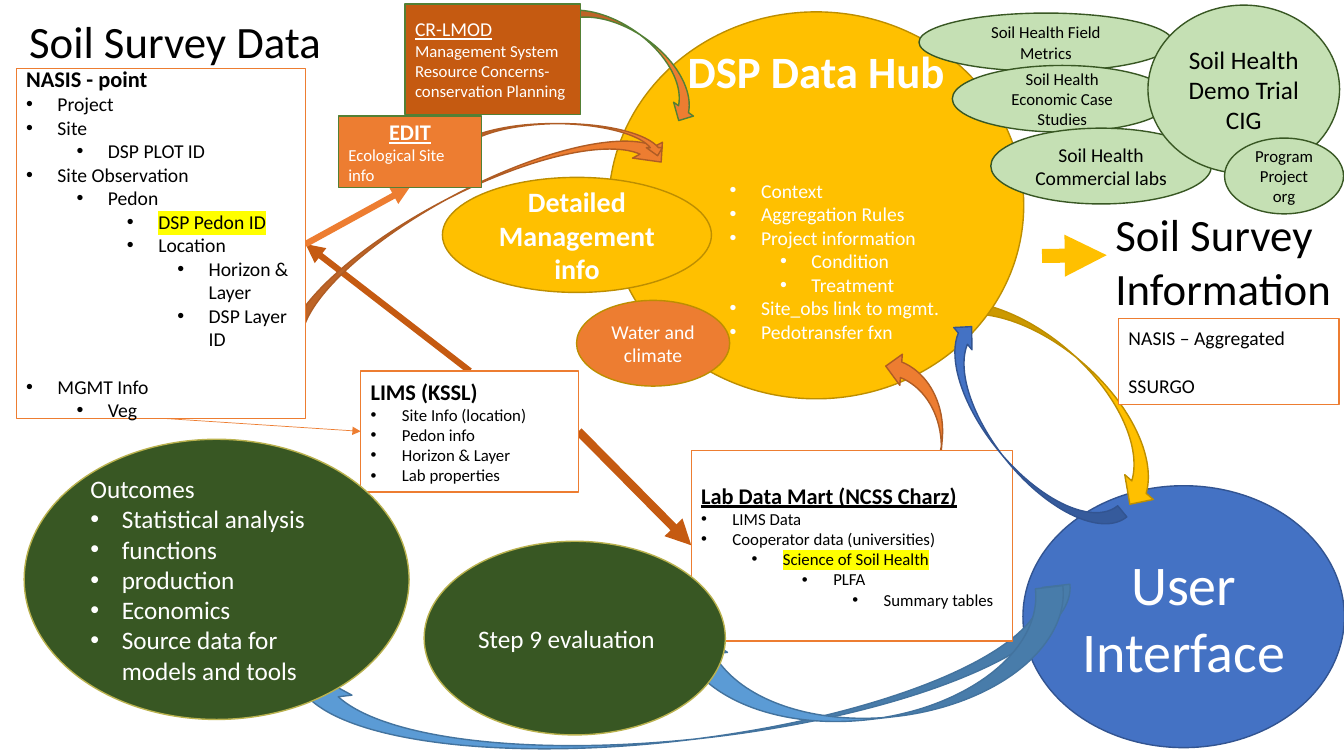
from pptx import Presentation
from pptx.dml.color import RGBColor
from pptx.enum.shapes import MSO_CONNECTOR, MSO_SHAPE
from pptx.enum.text import MSO_ANCHOR, MSO_AUTO_SIZE, PP_ALIGN
from pptx.oxml.ns import qn
from pptx.oxml.xmlchemy import OxmlElement
from pptx.util import Cm, Pt

ELLIPSE, RECT = MSO_SHAPE.OVAL, MSO_SHAPE.RECTANGLE
CURVED = MSO_SHAPE.CURVED_RIGHT_ARROW
STRAIGHT = MSO_CONNECTOR.STRAIGHT
LEFT, CENTER = PP_ALIGN.LEFT, PP_ALIGN.CENTER
TOP, MIDDLE = MSO_ANCHOR.TOP, MSO_ANCHOR.MIDDLE
FIT_SHAPE, NO_FIT = MSO_AUTO_SIZE.SHAPE_TO_FIT_TEXT, MSO_AUTO_SIZE.NONE

FONT = "Calibri"
BLACK, WHITE, YELLOW = "000000", "FFFFFF", "FFFF00"
ORANGE, RUST, GOLD = "ED7D31", "C55A11", "FFC000"
HANG, STEP = 0.79, 1.27  # bullet indents in cm

# Styles: fill, outline, text colour
STYLES = {
    "card": (WHITE, ORANGE, BLACK),
    "tool": (ORANGE, "538035", WHITE),
    "model": (RUST, "538035", WHITE),
    "hub": (GOLD, "BD8E00", WHITE),
    "climate": (ORANGE, "BD8E00", WHITE),
    "user": ("4472C4", "325491", WHITE),
    "partner": ("C5E0B4", "385723", BLACK),
    "result": ("385723", "BAB24E", WHITE),
    "flow": (ORANGE, "AF5C24", WHITE),
    "feedback": ("5B9BD5", "43739E", WHITE),
}


def line(text, size, marks="", align=LEFT, level=None, before=0):
    """One paragraph; marks: b bold, u underline, h highlight."""
    return text, size, marks, align, level, before


def centered(size, *texts, marks=""):
    return [line(text, size, marks, CENTER) for text in texts]


def bullets(size, *items):
    """Items are (level, text[, marks[, space before]])."""
    return [line(text, size, rest[0] if rest else "", LEFT, level,
                 rest[1] if len(rest) > 1 else 0)
            for level, text, *rest in items]


# Text content
HEADING = [line("Soil Survey Data", 32)]
INFORMATION = [line("Soil Survey", 32), line("Information", 32)]
HUB = centered(32, "DSP Data Hub", marks="b") + bullets(
    14, (1, "Context", "", 58), (1, "Aggregation Rules"),
    (1, "Project information"), (2, "Condition"), (2, "Treatment"),
    (1, "Site_obs link to mgmt."), (1, "Pedotransfer fxn"))
MODEL = [line("CR-LMOD", 14, "u"), line("Management System", 12),
         line("Resource Concerns-conservation Planning", 12)]
NASIS = [line("NASIS - point", 16, "b")] + bullets(
    14, (0, "Project"), (0, "Site"), (1, "DSP PLOT ID"),
    (0, "Site Observation"), (1, "Pedon"), (2, "DSP Pedon ID", "h"),
    (2, "Location"), (3, "Horizon & Layer"), (3, "DSP Layer ID"),
    (0, "MGMT Info", "", 17), (1, "Veg"))
LIMS = [line("LIMS (KSSL)", 16, "b")] + bullets(
    12, (0, "Site Info (location)"), (0, "Pedon info"),
    (0, "Horizon & Layer"), (0, "Lab properties"))
EDIT = centered(16, "EDIT", marks="bu") + [line("Ecological Site info", 12)]
LAB_MART = [line("Lab Data Mart (NCSS Charz)", 16, "bu")] + bullets(
    12, (0, "LIMS Data"), (0, "Cooperator data (universities)"),
    (1, "Science of Soil Health", "h"), (2, "PLFA"), (3, "Summary tables"))
AGGREGATED = [line("NASIS – Aggregated", 14), line("SSURGO", 14, before=17)]
OUTCOMES = [line("Outcomes", 18)] + bullets(
    18, (0, "Statistical analysis"), (0, "functions"), (0, "production"),
    (0, "Economics"), (0, "Source data for models and tools"))

# Parts from back to front, in cm:
#   (shape, style, (left, top, width, height), lines)
#   (CURVED, style, (left, top, width, height), rotation, flip)
#   (STRAIGHT, colour, (x1, y1, x2, y2), width in points)
PARTS = [
    (ELLIPSE, "user", (25.78, 12.24, 8.1, 6.6), centered(40, "User Interface")),
    (CURVED, "hub", (25.63, 5.99, 1.91, 7.62), 131, "flipV"),
    (STRAIGHT, RUST, (11.84, 9.35, 7.7, 6.15), 4.5),
    (STRAIGHT, RUST, (14.58, 10.87, 17.42, 13.74), 6),
    (ELLIPSE, "hub", (15.34, 0.3, 10.46, 9.75), HUB),
    (CURVED, "tool", (15.24, -0.84, 1.22, 4.52), 304.9, "flipH"),
    (CURVED, "feedback", (15.8, 7.26, 2.79, 19.99), 83.4, "flipH"),
    (RECT, "model", (10.21, 0.1, 4.42, 2.79), MODEL),
    (STRAIGHT, ORANGE, (4.06, 10.54, 9.09, 10.87), 0.5),
    (ELLIPSE, "climate", (14.53, 7.57, 3.86, 2.16),
     centered(14, "Water and climate")),
    (STRAIGHT, ORANGE, (7.7, 6.15, 10.34, 4.7), 4.5),
    (CURVED, "flow", (10.92, 0.2, 1.7, 11.02), 62.1, "flipV"),
    (RECT, "card", (0.41, 1.73, 7.29, 8.81), NASIS),
    (RECT, "card", (9.09, 9.35, 5.49, 3.05), LIMS),
    (CURVED, "flow", (13.69, 0.84, 0.81, 5.36), 90, "flipV"),
    (RECT, "tool", (8.53, 2.92, 3.61, 1.8), EDIT),
    (CURVED, "flow", (22.17, 8.89, 1.57, 4.39), 184.7, None),
    (RECT, "card", (17.42, 11.35, 8.1, 4.8), LAB_MART),
    (ELLIPSE, "partner", (23.16, 0.33, 6.4, 1.47),
     centered(12, "Soil Health Field Metrics")),
    (CURVED, "user", (25.04, 7.67, 1.45, 6.55), 140.8, "flipH"),
    (CURVED, "feedback", (20.52, 11.66, 2.79, 10.13), 83.4, "flipH"),
    (STRAIGHT, GOLD, (26.26, 6.45, 27.89, 6.43), 10),
    (RECT, "card", (28.19, 8.03, 5.56, 2.16), AGGREGATED),
    (ELLIPSE, "result", (0.61, 11.07, 9.7, 7.06), OUTCOMES),
    (ELLIPSE, "partner", (24, 1.65, 5.54, 1.68),
     centered(12, "Soil Health Economic Case Studies")),
    (ELLIPSE, "partner", (24.97, 3.23, 5.56, 1.91),
     centered(14, "Soil Health", "Commercial labs")),
    (ELLIPSE, "partner", (28.93, 0.13, 4.83, 4.24),
     centered(18, "Soil Health Demo Trial", "CIG")),
    (ELLIPSE, "hub", (11.15, 4.47, 6.78, 2.9),
     centered(20, "Detailed Management info", marks="b")),
    (ELLIPSE, "partner", (30.86, 3.48, 3, 1.91),
     centered(12, "Program", "Project", "org")),
    (ELLIPSE, "result", (10.69, 13.64, 7.59, 4.88),
     [line("Step 9 evaluation", 18)]),
]


def rgb(value):
    return RGBColor.from_string(value)


def child(parent, tag, **attributes):
    node = OxmlElement(tag)
    for name, value in attributes.items():
        node.set(name, value)
    parent.append(node)
    return node


def write(box, lines, color, anchor=MIDDLE, wrap=True):
    frame = box.text_frame
    frame.word_wrap, frame.vertical_anchor = wrap, anchor
    frame.auto_size = NO_FIT if wrap else FIT_SHAPE
    for index, (text, size, marks, align, level, before) in enumerate(lines):
        para = frame.add_paragraph() if index else frame.paragraphs[0]
        para.alignment, para.space_before = align, Pt(before)
        if level is not None:
            para.level = level
            props = para._p.get_or_add_pPr()
            props.set("marL", str(Cm(HANG + STEP * level)))
            props.set("indent", str(-Cm(HANG)))
            child(props, "a:buFont", typeface="Arial")
            child(props, "a:buChar", char="•")
        span = para.add_run()
        span.text = text
        font = span.font
        font.size, font.bold, font.underline = Pt(size), "b" in marks, "u" in marks
        font.color.rgb = rgb(color)
        if "h" in marks:
            highlight = child(span._r.get_or_add_rPr(), "a:highlight")
            child(highlight, "a:srgbClr", val=YELLOW)
        font.name = FONT


def add_arrow(page, color, ends, width):
    arrow = page.shapes.add_connector(STRAIGHT, *map(Cm, ends))
    arrow.line.color.rgb, arrow.line.width = rgb(color), Pt(width)
    props = arrow._element.spPr
    child(props.find(qn("a:ln")), "a:tailEnd", type="triangle")
    child(props, "a:effectLst")


def add_part(page, kind, style, place):
    fill, outline, _ = STYLES[style]
    box = page.shapes.add_shape(kind, *map(Cm, place))
    box.shadow.inherit = False
    box.fill.solid()
    box.fill.fore_color.rgb = rgb(fill)
    box.line.color.rgb, box.line.width = rgb(outline), Pt(1)
    return box


deck = Presentation()
deck.slide_width, deck.slide_height = Cm(33.87), Cm(19.05)
page = deck.slides.add_slide(deck.slide_layouts[5])

# Headings
title = page.shapes.title
title.left, title.top, title.width, title.height = map(Cm, (0.48, 0.23, 7.95, 1.63))
write(title, HEADING, BLACK, TOP, wrap=False)
information = page.shapes.add_textbox(*map(Cm, (27.86, 5.08, 6.02, 3)))
write(information, INFORMATION, BLACK, TOP, wrap=False)

# Diagram; members of the two shape enums can be equal, so compare identity
for kind, style, place, *rest in PARTS:
    if kind is STRAIGHT:
        add_arrow(page, style, place, *rest)
        continue
    box = add_part(page, kind, style, place)
    if kind is CURVED:
        box.rotation, flip = rest
        if flip:
            box._element.spPr.find(qn("a:xfrm")).set(flip, "1")
    else:
        write(box, rest[0], STYLES[style][2])
        if rest[0] is HUB:
            box.text_frame.margin_bottom = Cm(0.73)

deck.save("out.pptx")
